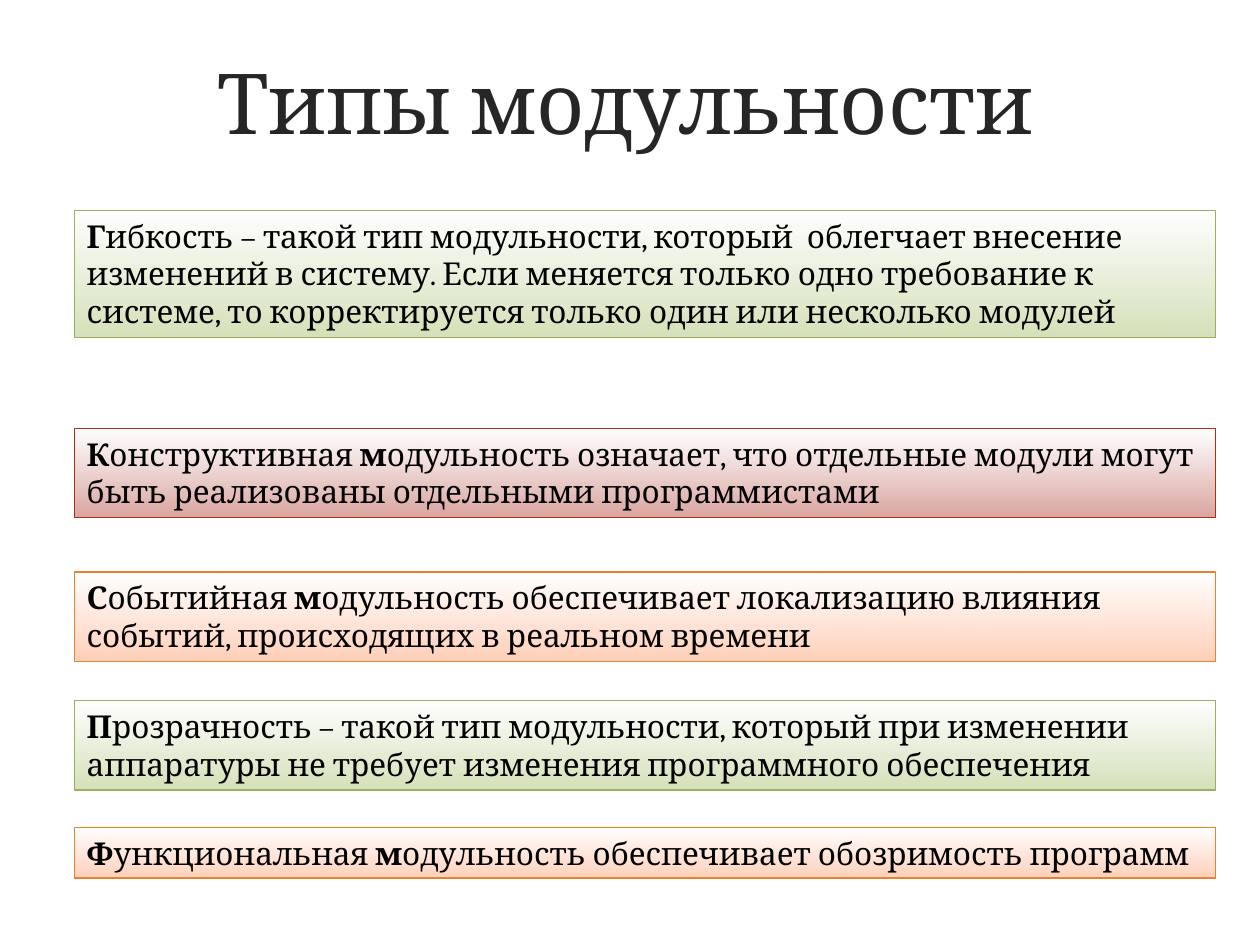
from lxml.etree import SubElement
from pptx import Presentation
from pptx.dml.color import RGBColor
from pptx.enum.shapes import MSO_SHAPE as Shape
from pptx.enum.text import MSO_ANCHOR as Anchor, MSO_AUTO_SIZE as AutoSize, PP_ALIGN as Align
from pptx.oxml.ns import qn
from pptx.util import Inches, Pt

FONT = "Cambria"
COLORS = {
    "title": "262626",
    "text": "000000",
    "top": "FFFFFF",
    "green": "D5E1B9",
    "green_line": "9BB05E",
    "red": "DAA5A0",
    "red_line": "A63212",
    "orange": "FFD0B9",
    "orange_line": "E68230",
}
TOP_ALPHA = 94
BOX_LEFT, BOX_WIDTH = 0.59, 9.06

# Top, height, colour and text of each definition; asterisks enclose bold letters.
DEFINITIONS = [
    (1.67, 1.01, "green",
     "*Г*ибкость – такой тип модульности, который  облегчает внесение изменений "
     "в систему. Если меняется только одно требование к системе, то "
     "корректируется только один или несколько модулей"),
    (3.4, 0.71, "red",
     "*К*онструктивная *м*одульность означает, что отдельные модули могут быть "
     "реализованы отдельными программистами"),
    (4.54, 0.71, "orange",
     "*С*обытийная *м*одульность обеспечивает локализацию влияния событий, "
     "происходящих в реальном времени"),
    (5.56, 0.71, "green",
     "*П*розрачность – такой тип модульности, который при изменении аппаратуры "
     "не требует изменения программного обеспечения"),
    (6.57, 0.4, "orange",
     "*Ф*ункциональная *м*одульность обеспечивает обозримость программ"),
]


def rgb(name):
    return RGBColor.from_string(COLORS[name])


def write_text(frame, text, *, size, color, align=Align.LEFT, anchor=Anchor.TOP,
               auto_size=AutoSize.NONE):
    """Fill the frame with one paragraph, setting parts between asterisks in bold."""
    frame.word_wrap = True
    frame.auto_size = auto_size
    frame.vertical_anchor = anchor
    paragraph = frame.paragraphs[0]
    paragraph.alignment = align
    for index, part in enumerate(text.split("*")):
        if part:
            run = paragraph.add_run()
            run.text = part
            run.font.name = FONT
            run.font.size = Pt(size)
            run.font.bold = index % 2 == 1
            run.font.color.rgb = rgb(color)


class SlideBuilder:
    """Holds the current slide and draws its elements in one style."""

    def __init__(self, slide):
        self.slide = slide

    def title(self, text, left, top, width, height):
        heading = self.slide.shapes.title
        heading.left, heading.top = Inches(left), Inches(top)
        heading.width, heading.height = Inches(width), Inches(height)
        write_text(heading.text_frame, text, size=48, color="title",
                   align=Align.CENTER, anchor=Anchor.MIDDLE)

    def definition(self, top, height, color, text):
        box = self.slide.shapes.add_shape(
            Shape.RECTANGLE, Inches(BOX_LEFT), Inches(top), Inches(BOX_WIDTH), Inches(height))
        box.shadow.inherit = False
        self.fade(box.fill, color)
        box.line.color.rgb = rgb(f"{color}_line")
        box.line.width = Pt(0.75)
        write_text(box.text_frame, text, size=18, color="text",
                   auto_size=AutoSize.SHAPE_TO_FIT_TEXT)

    def fade(self, fill, color):
        """Run a gradient from slightly transparent white down to the colour."""
        fill.gradient()
        fill.gradient_angle = 270
        stops = fill.gradient_stops
        for stop, position, name in zip(stops, (0, 1), ("top", color)):
            stop.position = position
            stop.color.rgb = rgb(name)
        top_color = stops[0]._gs.find(qn("a:srgbClr"))
        SubElement(top_color, qn("a:alpha"), val=str(TOP_ALPHA * 1000))


def main():
    deck = Presentation()
    deck.slide_width, deck.slide_height = Inches(10), Inches(7.5)
    title_only = deck.slide_layouts[5]
    builder = SlideBuilder(deck.slides.add_slide(title_only))
    builder.title("Типы модульности", 0.57, 0.21, 8.79, 1.18)
    for definition in DEFINITIONS:
        builder.definition(*definition)
    deck.save("out.pptx")


if __name__ == "__main__":
    main()
